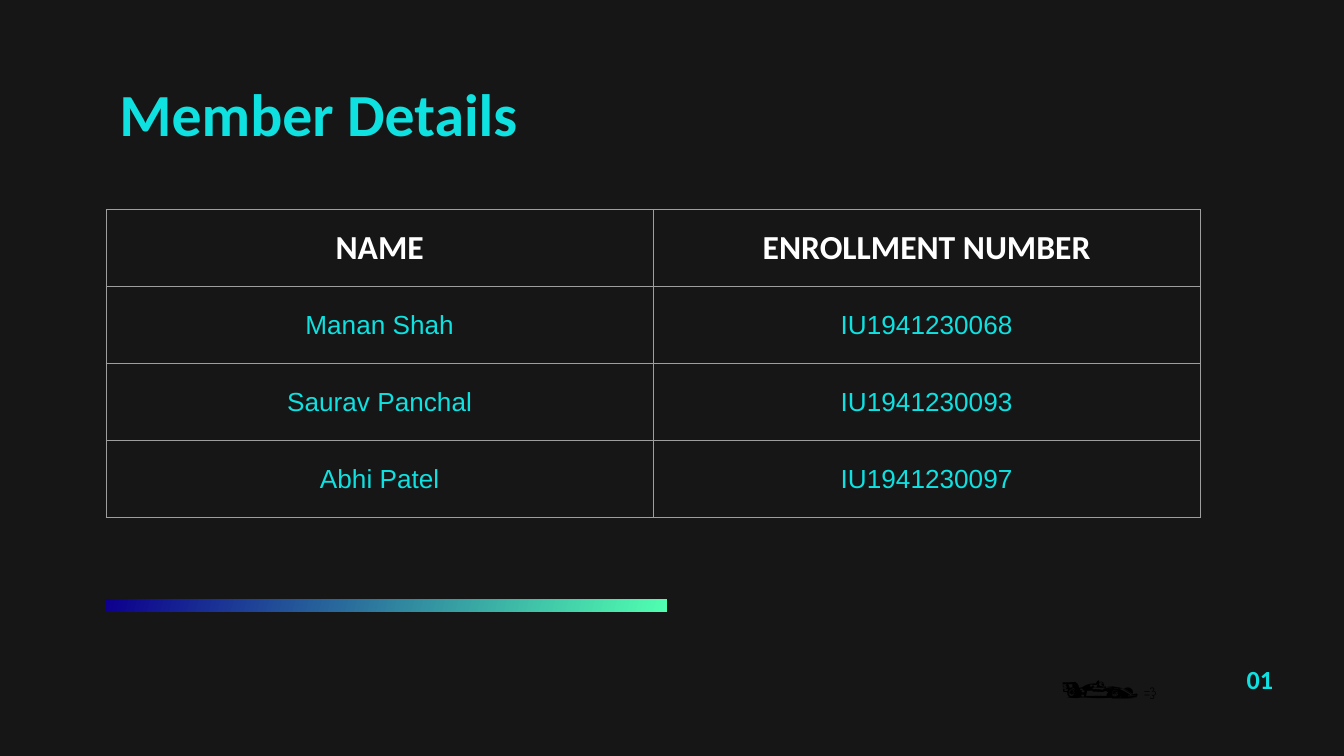
from lxml import etree
from pptx import Presentation
from pptx import util as u
from pptx.dml.color import RGBColor
from pptx.enum import shapes, text
from pptx.oxml import ns

DARK = RGBColor(0x16, 0x16, 0x16)
CYAN = RGBColor(0x0F, 0xE0, 0xE0)
WHITE = RGBColor(0xFF, 0xFF, 0xFF)
BLACK = RGBColor(0, 0, 0)
GREY = RGBColor(0x9E, 0x9E, 0x9E)
INDIGO = RGBColor(0x0D, 0x00, 0x8E)
MINT = RGBColor(0x50, 0xFF, 0xB0)

MEMBERS = [
    ("NAME", "ENROLLMENT NUMBER"),
    ("Manan Shah", "IU1941230068"),
    ("Saurav Panchal", "IU1941230093"),
    ("Abhi Patel", "IU1941230097"),
]


class SlideBuilder:
    heading_font = "Calibri"
    body_font = "Arial"
    border_width = u.Pt(0.75)

    def __init__(self, deck):
        self.slide = deck.slides.add_slide(deck.slide_layouts[6])
        background = self.slide.background.fill
        background.solid()
        background.fore_color.rgb = DARK

    def style(self, span, size, color, font, bold=False):
        span.font.size = u.Pt(size)
        span.font.name = font
        span.font.bold = bold
        span.font.color.rgb = color

    def text(self, place, spans, color, font, bold=False,
             align=text.PP_ALIGN.LEFT, anchor=text.MSO_ANCHOR.TOP):
        box = self.slide.shapes.add_textbox(*map(u.Inches, place))
        frame = box.text_frame
        frame.word_wrap = True
        frame.vertical_anchor = anchor
        para = frame.paragraphs[0]
        para.alignment = align
        for words, size in spans:
            span = para.add_run()
            span.text = words
            self.style(span, size, color, font, bold)

    def gradient_bar(self, place, start, end):
        bar = self.slide.shapes.add_shape(
            shapes.MSO_SHAPE.RECTANGLE, *map(u.Inches, place))
        bar.shadow.inherit = False
        bar.line.fill.background()
        bar.fill.gradient()
        bar.fill.gradient_angle = 345
        for stop, color in zip(bar.fill.gradient_stops, (start, end)):
            stop.color.rgb = color

    def border(self, cell):
        properties = cell._tc.get_or_add_tcPr()
        for index, side in enumerate(("a:lnL", "a:lnR", "a:lnT", "a:lnB")):
            line = etree.Element(ns.qn(side), w=str(self.border_width))
            fill = etree.SubElement(line, ns.qn("a:solidFill"))
            etree.SubElement(fill, ns.qn("a:srgbClr"), val=str(GREY))
            properties.insert(index, line)

    def table(self, place, rows):
        table = self.slide.shapes.add_table(
            len(rows), len(rows[0]), *map(u.Inches, place)).table
        table.horz_banding = False
        table.first_row = False
        for r, row in enumerate(rows):
            for c, words in enumerate(row):
                cell = table.cell(r, c)
                cell.fill.background()
                cell.vertical_anchor = text.MSO_ANCHOR.MIDDLE
                self.border(cell)
                cell.text_frame.text = words
                para = cell.text_frame.paragraphs[0]
                para.alignment = text.PP_ALIGN.CENTER
                if r == 0:
                    self.style(para.runs[0], 18, WHITE, self.heading_font, True)
                else:
                    self.style(para.runs[0], 14, CYAN, self.body_font)


def main():
    deck = Presentation()
    deck.slide_width = u.Inches(10)
    deck.slide_height = deck.slide_width * 9 // 16
    page = SlideBuilder(deck)
    page.text((0.79, 0.59, 8.43, 0.5), [("Member Details", 32)], CYAN,
              page.heading_font, True, anchor=text.MSO_ANCHOR.MIDDLE)
    page.gradient_bar((0.79, 4.46, 4.17, 0.09), INDIGO, MINT)
    page.table((0.79, 1.56, 8.14, 2.29), MEMBERS)
    page.text((8.82, 4.89, 1.11, 0.65), [("01", 14)], CYAN,
              page.heading_font, True, align=text.PP_ALIGN.CENTER)
    page.text((7.77, 4.64, 1.8, 0.71), [("🏎️", 36), ("💨", 7)], BLACK,
              page.body_font)
    deck.save("out.pptx")


if __name__ == "__main__":
    main()
